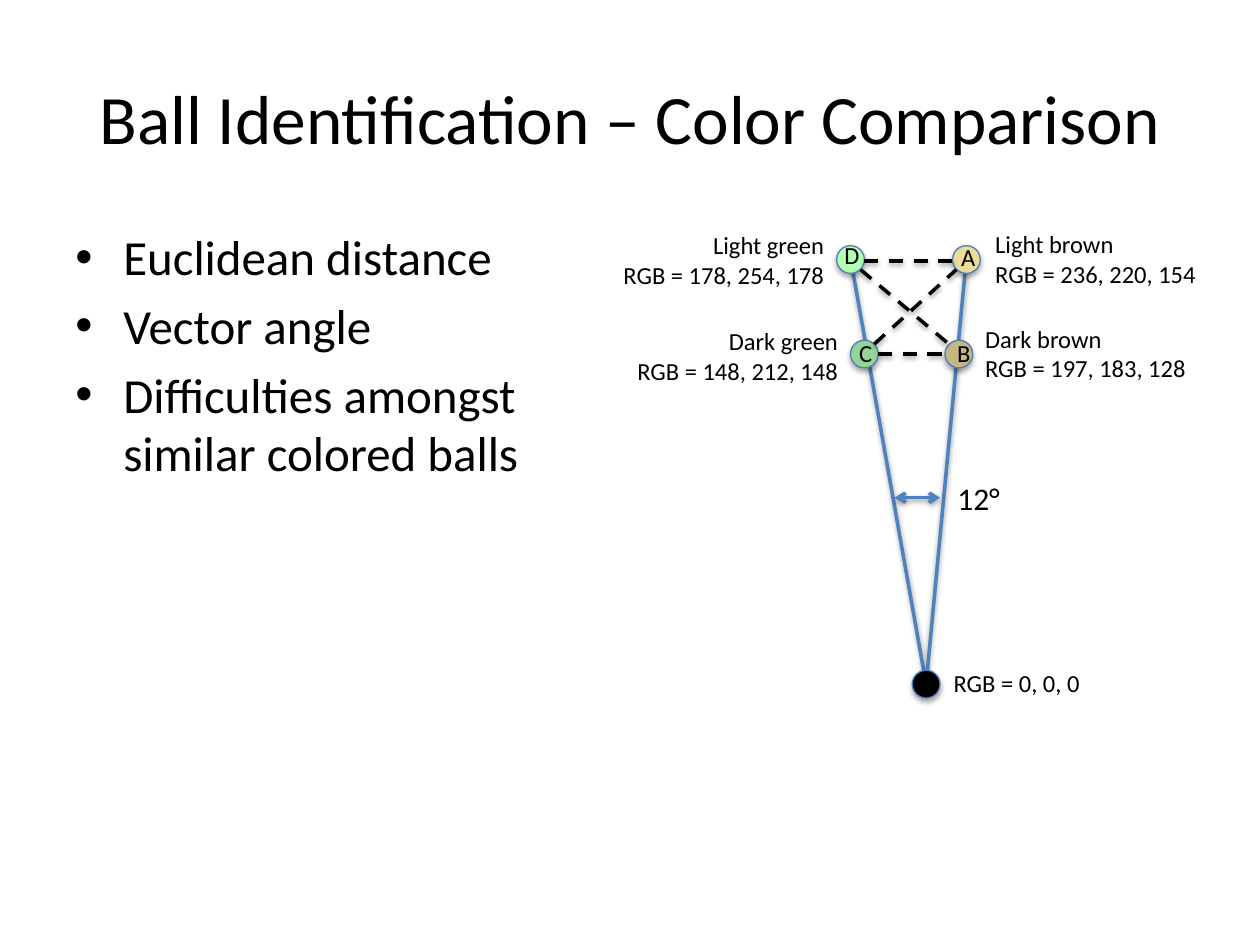
import lxml.etree
import pptx
import pptx.dml.color
import pptx.enum.dml
import pptx.enum.shapes
import pptx.enum.text
import pptx.oxml.ns
import pptx.util

Inches, Pt = pptx.util.Inches, pptx.util.Pt
ALIGN, ANCHOR = pptx.enum.text.PP_ALIGN, pptx.enum.text.MSO_ANCHOR
qn = pptx.oxml.ns.qn


class Theme:
    font = "Calibri"
    ink = "000000"
    ray = "4F81BD"
    outline = "4B7EBC"
    title, body, angle, label = 39.6, 28, 18, 14
    line, thin = 2, 0.75
    line_shadow = {"alpha": 38, "dist": 1.6}
    ball_shadow = {"alpha": 35, "dist": 1.8}


def rgb(value):
    return pptx.dml.color.RGBColor.from_string(value)


def add(parent, tag, **attrs):
    child = lxml.etree.SubElement(parent, qn(tag))
    for name, value in attrs.items():
        child.set(name, str(value))
    return child


def write(p, text, size=Theme.label, align=ALIGN.LEFT, color=Theme.ink, bullet=False):
    p.alignment = align
    r = p.add_run()
    r.text = text
    r.font.name, r.font.size = Theme.font, Pt(size)
    r.font.color.rgb = rgb(color)
    if bullet:
        p.space_before = Pt(size * 0.2)
        pPr = p._p.get_or_add_pPr()
        pPr.set("marL", str(Inches(0.38)))
        pPr.set("indent", str(-Inches(0.38)))
        add(pPr, "a:buFont", typeface="Arial")
        add(pPr, "a:buChar", char="•")


class SlideBuilder:
    """Draws styled elements on the current slide."""

    def __init__(self, slide, theme):
        self.s, self.theme = slide, theme

    def text(self, box, lines, wrap=False, anchor=ANCHOR.TOP, **style):
        sp = self.s.shapes.add_textbox(*map(Inches, box))
        tf = sp.text_frame
        tf.word_wrap, tf.vertical_anchor = wrap, anchor
        for i, line in enumerate(lines):
            write(tf.add_paragraph() if i else tf.paragraphs[0], line, **style)

    def shadow(self, spPr, alpha, dist):
        effects = spPr.find(qn("a:effectLst"))
        if effects is None:
            effects = add(spPr, "a:effectLst")
        outer = add(effects, "a:outerShdw", blurRad=Pt(3.1), dist=Pt(dist),
                    dir=5400000, rotWithShape=0)
        add(add(outer, "a:srgbClr", val=self.theme.ink), "a:alpha", val=alpha * 1000)

    def line(self, start, end, color, dashed=False, arrows=False):
        sp = self.s.shapes.add_connector(pptx.enum.shapes.MSO_CONNECTOR.STRAIGHT,
                                         *map(Inches, (*start, *end)))
        sp.line.color.rgb, sp.line.width = rgb(color), Pt(self.theme.line)
        if dashed:
            sp.line.dash_style = pptx.enum.dml.MSO_LINE.DASH
        if arrows:
            for tag in ("a:headEnd", "a:tailEnd"):
                add(sp.line._get_or_add_ln(), tag, type="arrow")
        self.shadow(sp._element.spPr, **self.theme.line_shadow)

    def ball(self, left, top, color, size=0.22):
        sp = self.s.shapes.add_shape(pptx.enum.shapes.MSO_SHAPE.OVAL,
                                     *map(Inches, (left, top, size, size)))
        sp.fill.solid()
        sp.fill.fore_color.rgb = rgb(color)
        sp.line.color.rgb, sp.line.width = rgb(self.theme.outline), Pt(self.theme.thin)
        sp.shadow.inherit = False
        self.shadow(sp._element.spPr, **self.theme.ball_shadow)


def main():
    prs = pptx.Presentation()
    prs.slide_width, prs.slide_height = Inches(10), Inches(7.5)
    t = Theme()
    b = SlideBuilder(prs.slides.add_slide(prs.slide_layouts[6]), t)

    b.text((0.5, 0.3, 9, 1.25), ["Ball Identification – Color Comparison"],
           wrap=True, anchor=ANCHOR.MIDDLE, size=t.title, align=ALIGN.CENTER)
    b.text((0.5, 1.75, 4.42, 4.95),
           ["Euclidean distance", "Vector angle", "Difficulties amongst similar colored balls"],
           wrap=True, size=t.body, bullet=True)

    origin = (7.35, 5.43)
    for far_end in ((6.75, 2.05), (7.67, 2.05)):
        b.line(far_end, origin, t.ray)

    balls = [
        ("D", "Light green", (178, 254, 178), (6.64, 1.95), (6.6, 1.86), (4.83, 1.78), ALIGN.RIGHT),
        ("C", "Dark green", (148, 212, 148), (6.75, 2.7), (6.7, 2.63), (4.94, 2.54), ALIGN.RIGHT),
        ("A", "Light brown", (236, 220, 154), (7.56, 1.95), (7.52, 1.87), (7.8, 1.77), ALIGN.LEFT),
        ("B", "Dark brown", (197, 183, 128), (7.5, 2.7), (7.48, 2.63), (7.72, 2.52), ALIGN.LEFT),
    ]
    for _, _, color, ball_at, _, _, _ in balls:
        b.ball(*ball_at, str(pptx.dml.color.RGBColor(*color)))
    b.ball(7.24, 5.32, t.ink)

    b.line((7.1, 3.95), (7.46, 3.95), t.ray, arrows=True)
    b.text((7.5, 3.75, 0.54, 0.4), ["12°"], size=t.angle)

    for start, end in (((6.83, 2.14), (7.53, 2.73)), ((6.94, 2.73), (7.59, 2.14)),
                       ((6.97, 2.81), (7.5, 2.81)), ((6.86, 2.07), (7.56, 2.07))):
        b.line(start, end, t.ink, dashed=True)

    for letter, name, color, _, letter_at, caption_at, align in balls:
        values = ", ".join(map(str, color))
        b.text((*caption_at, 1.81, 0.57), [name, f"RGB = {values}"], align=align)
        b.text((*letter_at, 0.32, 0.34), [letter], align=ALIGN.RIGHT)
    b.text((7.47, 5.25, 1.21, 0.34), ["RGB = 0, 0, 0"])

    prs.save("out.pptx")


if __name__ == "__main__":
    main()
